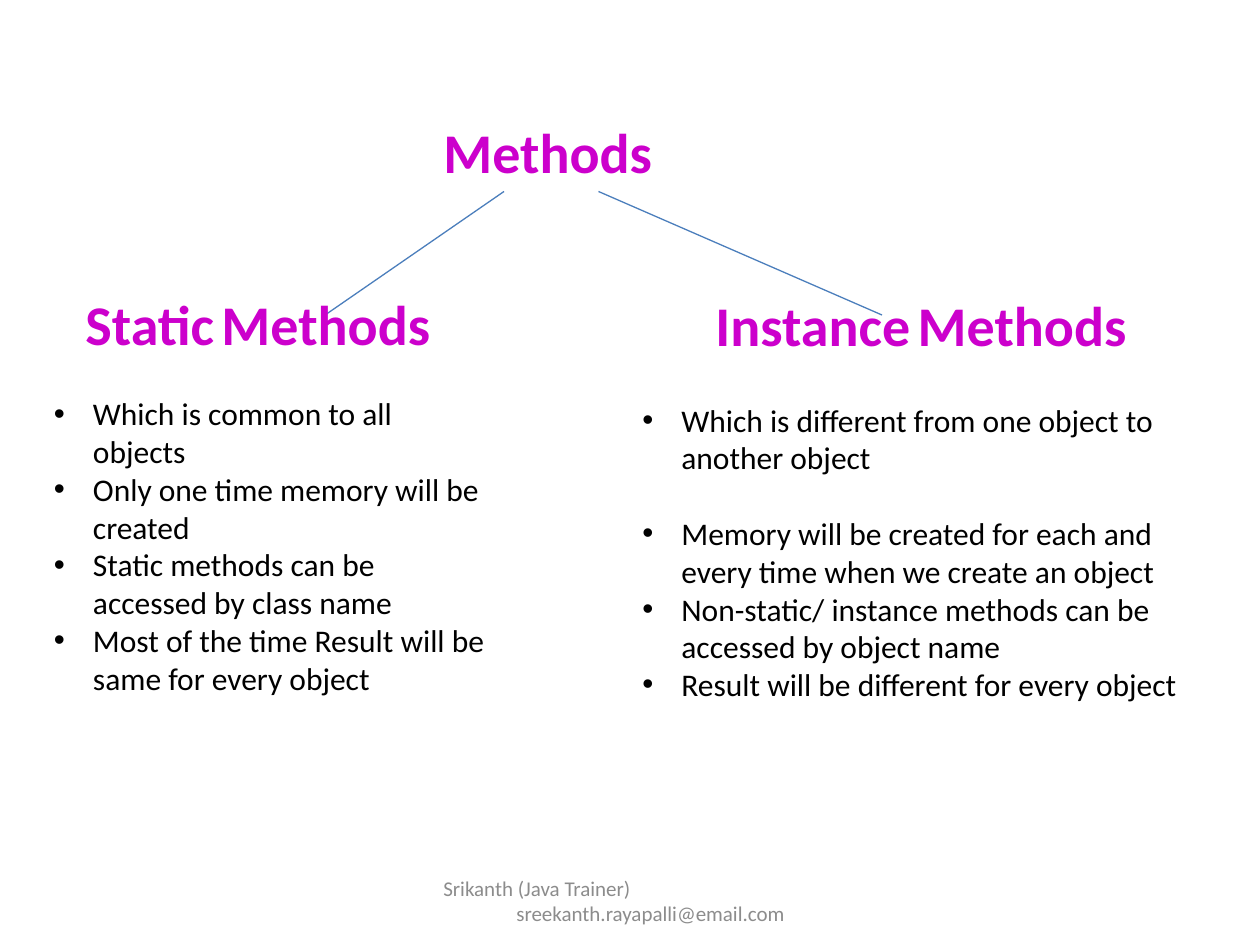
from lxml import etree
from pptx import Presentation
from pptx.dml.color import RGBColor
from pptx.enum import shapes, text
from pptx.oxml.ns import qn
from pptx.util import Inches, Pt

COLORS = {"heading": "CC00CC", "body": "000000", "footer": "8C8C8C", "line": "4B7EBC"}
FONT = "Calibri"
INDENT = 0.31

# Content: boxes are left, top, width, height in inches
ROOT = ("Methods", (3.42, 0.88, 3.42, 0.64))
BRANCHES = [
    {
        "heading": ("Static", "Methods"),
        "heading_box": (0.58, 2.25, 3.25, 0.64),
        "line": ((4, 1.52), (2.58, 2.5)),
        "points": [
            "Which is common to all objects",
            "Only one time memory will be created",
            "Static methods can be accessed by class name",
            "Most of the time Result will be same for every object",
        ],
        "points_box": (0.33, 3.08, 3.67, 2.83),
        "gaps": {},
    },
    {
        "heading": ("Instance", "Methods"),
        "heading_box": (5.58, 2.26, 3.83, 0.64),
        "line": ((4.75, 1.52), (7, 2.5)),
        "points": [
            "Which is different from one object to another object",
            "Memory will be created for each and every time when we create an object",
            "Non-static/ instance methods can be accessed by object name",
            "Result will be different for every object",
        ],
        "points_box": (5, 3.13, 4.67, 2.83),
        "gaps": {1: 21.6},  # space before a point, in points
    },
]
FOOTER = ["Srikanth (Java Trainer)", "sreekanth.rayapalli@email.com"]
FOOTER_BOX = (3.42, 6.95, 3.17, 0.4)
FOOTER_INDENTS = {1: 0.58}


def add_text(page, lines, place, size, color, bold=False, bullet=False,
             anchor=text.MSO_ANCHOR.TOP, gaps=None, indents=None):
    """Add a text box; each line is a list of (words, size or None) spans or a string."""
    frame = page.shapes.add_textbox(*map(Inches, place)).text_frame
    frame.word_wrap = True
    frame.vertical_anchor = anchor
    for index, line in enumerate(lines):
        para = frame.paragraphs[0] if index == 0 else frame.add_paragraph()
        para.space_before = Pt((gaps or {}).get(index, 0))
        properties = para._p.get_or_add_pPr()
        margin = INDENT if bullet else (indents or {}).get(index, 0)
        properties.set("marL", str(Inches(margin)))
        if bullet:
            properties.set("indent", str(-Inches(INDENT)))
            etree.SubElement(properties, qn("a:buFont")).set("typeface", "Arial")
            etree.SubElement(properties, qn("a:buChar")).set("char", "•")
        for words, span_size in [(line, None)] if isinstance(line, str) else line:
            span = para.add_run()
            span.text = words
            span.font.name = FONT
            span.font.size = Pt(span_size or size)
            span.font.bold = bold
            span.font.color.rgb = RGBColor.from_string(COLORS[color])


def add_line(page, start, end):
    line = page.shapes.add_connector(
        shapes.MSO_CONNECTOR.STRAIGHT, *map(Inches, start + end))
    line.line.color.rgb = RGBColor.from_string(COLORS["line"])
    line.line.width = Pt(0.75)
    etree.SubElement(line._element.spPr, qn("a:effectLst"))


def main():
    deck = Presentation()
    deck.slide_width, deck.slide_height = Inches(10), Inches(7.5)
    page = deck.slides.add_slide(deck.slide_layouts[6])

    # Root of the tree
    add_text(page, [ROOT[0]], ROOT[1], 32, "heading", bold=True)

    # Branches: line, heading with a narrow space, bullet points
    for branch in BRANCHES:
        add_line(page, *branch["line"])
        first, second = branch["heading"]
        heading = [(first, None), (" ", 18), (second, None)]
        add_text(page, [heading], branch["heading_box"], 32, "heading", bold=True)
        add_text(page, branch["points"], branch["points_box"], 18, "body",
                 bullet=True, gaps=branch["gaps"])

    # Footer
    add_text(page, FOOTER, FOOTER_BOX, 12, "footer",
             anchor=text.MSO_ANCHOR.MIDDLE, indents=FOOTER_INDENTS)

    deck.save("out.pptx")


if __name__ == "__main__":
    main()
